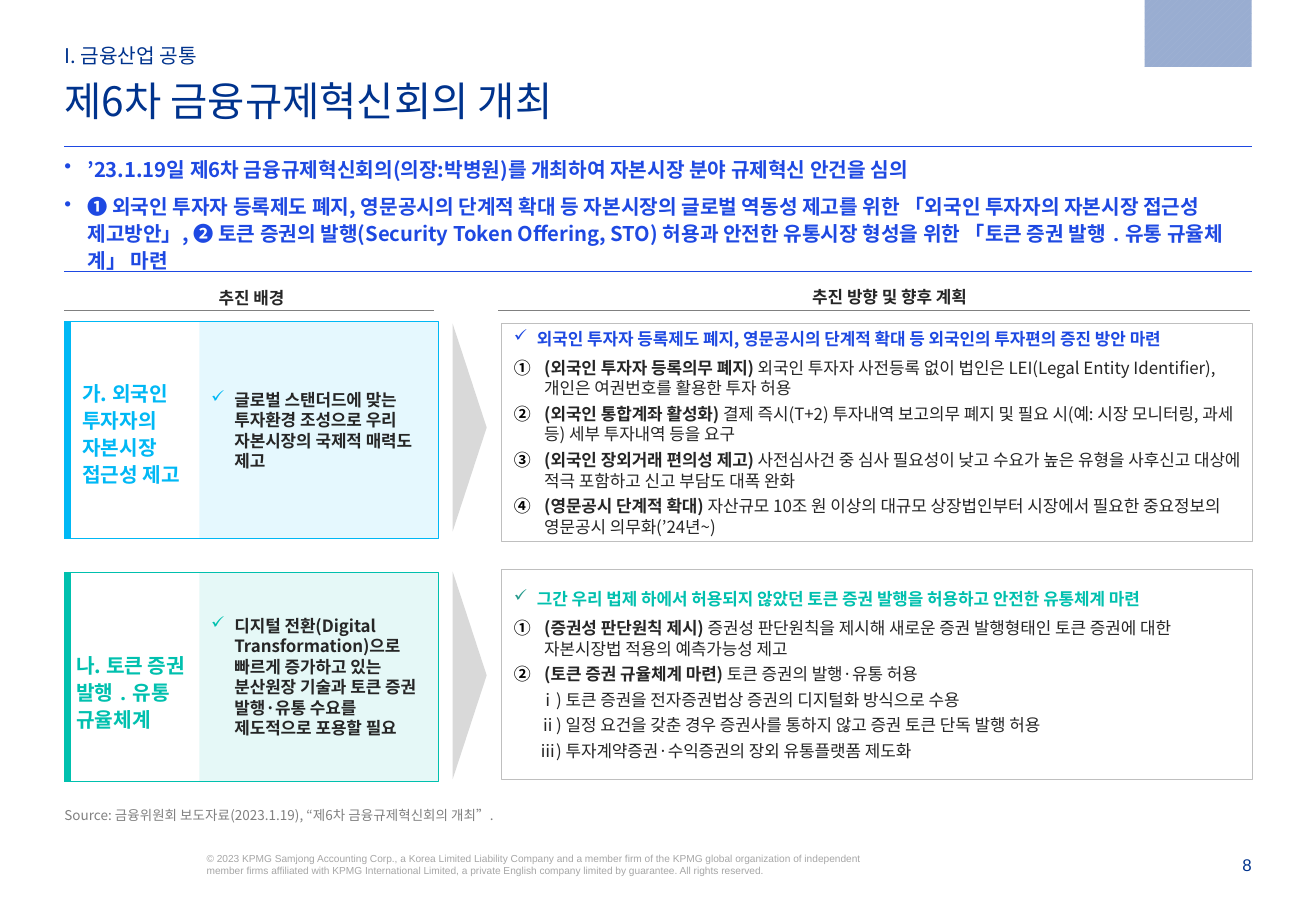
from dataclasses import dataclass

from lxml.etree import SubElement
from pptx import Presentation
from pptx.dml.color import RGBColor
from pptx.enum.dml import MSO_PATTERN
from pptx.enum.shapes import MSO_CONNECTOR, MSO_SHAPE
from pptx.enum.text import MSO_ANCHOR, PP_ALIGN
from pptx.oxml.ns import qn
from pptx.util import Pt

KICKER = "I. 금융산업 공통"
TITLE = "제6차 금융규제혁신회의 개최"
SUMMARY = [
    "’23.1.19일 제6차 금융규제혁신회의(의장:박병원)를 개최하여 자본시장 분야 규제혁신 안건을 심의",
    "➊ 외국인 투자자 등록제도 폐지, 영문공시의 단계적 확대 등 자본시장의 글로벌 역동성 제고를 위한 "
    "「외국인 투자자의 자본시장 접근성 제고방안」, ➋ 토큰 증권의 발행(Security Token Offering, STO) "
    "허용과 안전한 유통시장 형성을 위한 「토큰 증권 발행 ․ 유통 규율체계」 마련",
]
HEADINGS = [
    # text, text frame (left, top, width, height), rule from, rule to
    ("추진 배경", (53, 232, 308, 27), 53, 357),
    ("추진 방향 및 향후 계획", (492, 231, 480, 27), 410, 1029),
]
TOPICS = [
    {
        "label": "가. 외국인 투자자의 자본시장 접근성 제고",
        "label_at": (58, 307, 124, 124),
        "background": "글로벌 스탠더드에 맞는 투자환경 조성으로 우리 자본시장의 국제적 매력도 제고",
        "background_rows": (265, 178), "plan_rows": (266, 180), "arrow_top": 338,
        "color": "00B8F5", "tint": "E5F8FE", "plan_color": "1E49E2", "plan_check": "1E49E2",
        "plan": "외국인 투자자 등록제도 폐지, 영문공시의 단계적 확대 등 외국인의 투자편의 증진 방안 마련",
        "steps": [
            ("(외국인 투자자 등록의무 폐지) ",
             "외국인 투자자 사전등록 없이 법인은 LEI(Legal Entity Identifier), 개인은 여권번호를 활용한 투자 허용"),
            ("(외국인 통합계좌 활성화) ",
             "결제 즉시(T+2) 투자내역 보고의무 폐지 및 필요 시(예: 시장 모니터링, 과세 등) 세부 투자내역 등을 요구"),
            ("(외국인 장외거래 편의성 제고) ",
             "사전심사건 중 심사 필요성이 낮고 수요가 높은 유형을 사후신고 대상에 적극 포함하고 신고 부담도 대폭 완화"),
            ("(영문공시 단계적 확대) ",
             "자산규모 10조 원 이상의 대규모 상장법인부터 시장에서 필요한 중요정보의 영문공시 의무화(’24년~)"),
        ],
        "details": [],
    },
    {
        "label": "나. 토큰 증권 발행 ․ 유통 규율체계",
        "label_at": (53, 531, 124, 76),
        "background": "디지털 전환(Digital Transformation)으로 빠르게 증가하고 있는 분산원장 기술과 "
                      "토큰 증권 발행·유통 수요를 제도적으로 포용할 필요",
        "background_rows": (471, 172), "plan_rows": (469, 173), "arrow_top": 542,
        "color": "00C0AE", "tint": "E5F8F7", "plan_color": "00C0AE", "plan_check": "289C8E",
        "plan": "그간 우리 법제 하에서 허용되지 않았던 토큰 증권 발행을 허용하고 안전한 유통체계 마련",
        "steps": [
            ("(증권성 판단원칙 제시) ",
             "증권성 판단원칙을 제시해 새로운 증권 발행형태인 토큰 증권에 대한 자본시장법 적용의 예측가능성 제고"),
            ("(토큰 증권 규율체계 마련) ", "토큰 증권의 발행·유통 허용"),
        ],
        "details": [
            "ⅰ) 토큰 증권을 전자증권법상 증권의 디지털화 방식으로 수용",
            "ⅱ) 일정 요건을 갖춘 경우 증권사를 통하지 않고 증권 토큰 단독 발행 허용",
            "ⅲ) 투자계약증권·수익증권의 장외 유통플랫폼 제도화",
        ],
    },
]
SOURCE = "Source: 금융위원회 보도자료(2023.1.19), “제6차 금융규제혁신회의 개최”."
COPYRIGHT = (
    "© 2023 KPMG Samjong Accounting Corp., a Korea Limited Liability Company and a member firm of the "
    "KPMG global organization of independent member firms affiliated with KPMG International Limited, "
    "a private English company limited by guarantee. All rights reserved."
)
PAGE_NUMBER = "8"


@dataclass(frozen=True)
class Theme:
    korean: str = "Noto Sans CJK KR"
    latin: str = "Arial"
    navy: str = "00338D"
    blue: str = "1E49E2"
    ink: str = "262626"
    black: str = "000000"
    grey: str = "808080"
    border: str = "BFBFBF"
    pale: str = "A6A6A6"
    arrow: str = "D9D9D9"
    white: str = "FFFFFF"
    stripe: str = "A3B5D5"
    stripe_back: str = "99ADD1"
    title: int = 24
    lead: int = 12
    text: int = 10
    source: int = 8
    legal: int = 6
    lead_pitch: int = 16
    text_pitch: float = 12.15


THEME = Theme()
PX = 9144  # 100 px to the inch
LEFT, RIGHT = 53, 1030
NO_INSETS = (0, 0, 0, 0)
BOX_INSETS = (10, 5, 10, 5)


def rgb(value):
    return RGBColor.from_string(value)


def scaled(place):
    return [value * PX for value in place]


def set_frame(shape, anchor=MSO_ANCHOR.TOP, insets=BOX_INSETS, wrap=True):
    frame = shape.text_frame
    names = ("margin_left", "margin_top", "margin_right", "margin_bottom")
    for name, value in {**dict(zip(names, scaled(insets))),
                        "vertical_anchor": anchor, "word_wrap": wrap}.items():
        setattr(frame, name, value)
    return frame


def write(frame, spans, size=THEME.text, color=THEME.ink, font=THEME.korean, align=PP_ALIGN.LEFT,
          pitch=None, after=0, indent=0, bullet=None, bullet_color=None):
    """Add one paragraph of (text, bold) spans; bullet is a character or an 'auto:' scheme."""
    para = frame.paragraphs[0]
    if para.runs:
        para = frame.add_paragraph()
    properties = para._p.get_or_add_pPr()
    if indent:
        properties.set("marL", str(indent * PX))
        properties.set("indent", str(-indent * PX if bullet else 0))
    if bullet:
        fill = SubElement(properties, qn("a:buClr"))
        SubElement(fill, qn("a:srgbClr"), val=bullet_color or color)
        if bullet.startswith("auto:"):
            SubElement(properties, qn("a:buAutoNum"), type=bullet.removeprefix("auto:"))
        else:
            SubElement(properties, qn("a:buChar"), char=bullet)
    formats = {"alignment": align, "space_before": Pt(0), "space_after": Pt(after)}
    if pitch:
        formats["line_spacing"] = Pt(pitch)
    for name, value in formats.items():
        setattr(para, name, value)
    for text, bold in spans:
        span = para.add_run()
        span.text = text
        for name, value in {"size": Pt(size), "bold": bold, "name": font}.items():
            setattr(span.font, name, value)
        span.font.color.rgb = rgb(color)
        SubElement(span._r.get_or_add_rPr(), qn("a:ea"), typeface=font)


def add_text(page, place, text, bold=False, anchor=MSO_ANCHOR.TOP, insets=NO_INSETS, **style):
    box = page.shapes.add_textbox(*scaled(place))
    write(set_frame(box, anchor, insets), [(text, bold)], **style)


def add_box(page, place, fill=None, line=None, kind=MSO_SHAPE.RECTANGLE):
    box = page.shapes.add_shape(kind, *scaled(place))
    box.shadow.inherit = False
    if fill:
        box.fill.solid()
        box.fill.fore_color.rgb = rgb(fill)
    else:
        box.fill.background()
    if line:
        box.line.color.rgb = rgb(line)
        box.line.width = Pt(0.5)
    else:
        box.line.fill.background()
    return box


def add_rule(page, start, end, top, color):
    rule = page.shapes.add_connector(MSO_CONNECTOR.STRAIGHT, *scaled((start, top, end, top)))
    rule.line.color.rgb = rgb(color)
    rule.line.width = Pt(0.25)
    SubElement(rule._element.spPr, qn("a:effectLst"))


def add_topic(page, topic):
    color = topic["color"]
    top, height = topic["background_rows"]
    reason = add_box(page, (164, top, 197, height), topic["tint"])
    write(set_frame(reason, MSO_ANCHOR.MIDDLE), [(topic["background"], True)],
          pitch=THEME.text_pitch, indent=19, bullet="✓", bullet_color=color)
    add_box(page, (LEFT, top, 308, height), line=color)
    add_box(page, (LEFT, top, 5, height), color, color)
    add_text(page, topic["label_at"], topic["label"], True, insets=BOX_INSETS,
             size=THEME.lead, color=color, pitch=THEME.lead_pitch)

    top, height = topic["plan_rows"]
    plan = add_box(page, (413, top, 618, height), THEME.white, THEME.border)
    frame = set_frame(plan, MSO_ANCHOR.MIDDLE)
    write(frame, [(topic["plan"], True)], color=topic["plan_color"], pitch=THEME.text_pitch,
          after=5, indent=19, bullet="✓", bullet_color=topic["plan_check"])
    for name, text in topic["steps"]:
        write(frame, [(name, True), (text, False)], pitch=THEME.text_pitch, after=3, indent=25,
              bullet="auto:circleNumDbPlain", bullet_color=THEME.black)
    for text in topic["details"]:
        write(frame, [(text, False)], pitch=THEME.text_pitch, after=3, indent=21)

    arrow = add_box(page, (301, topic["arrow_top"], 171, 28), THEME.arrow,
                    kind=MSO_SHAPE.ISOSCELES_TRIANGLE)
    arrow.rotation = 90


def main():
    deck = Presentation()
    deck.slide_width, deck.slide_height = scaled((1083, 750))
    page = deck.slides.add_slide(deck.slide_layouts[5])
    width = RIGHT - LEFT

    title = page.shapes.title
    title.left, title.top, title.width, title.height = scaled((LEFT, 68, width, 35))
    write(set_frame(title, MSO_ANCHOR.BOTTOM, NO_INSETS, wrap=False), [(TITLE, False)],
          size=THEME.title, color=THEME.navy, pitch=29)
    add_text(page, (LEFT, 36, width, 20), KICKER, anchor=MSO_ANCHOR.BOTTOM,
             size=THEME.lead, color=THEME.navy, pitch=15)

    corner = add_box(page, (942, 0, 88, 55))
    corner.fill.patterned()
    corner.fill.pattern = MSO_PATTERN.WIDE_UPWARD_DIAGONAL
    corner.fill.fore_color.rgb = rgb(THEME.stripe)
    corner.fill.back_color.rgb = rgb(THEME.stripe_back)

    for top in (120, 223):
        add_rule(page, LEFT, RIGHT, top, THEME.blue)
    summary = page.shapes.add_textbox(*scaled((LEFT, 127, width, 95)))
    frame = set_frame(summary, insets=NO_INSETS)
    for text in SUMMARY:
        write(frame, [(text, True)], size=THEME.lead, color=THEME.blue,
              pitch=THEME.lead_pitch, after=6, indent=19, bullet="•")

    for text, place, start, end in HEADINGS:
        add_text(page, place, text, True, insets=BOX_INSETS, align=PP_ALIGN.CENTER,
                 pitch=THEME.text_pitch)
        add_rule(page, start, end, 255, THEME.grey)
    for topic in TOPICS:
        add_topic(page, topic)

    add_text(page, (LEFT, 657, width, 21), SOURCE, anchor=MSO_ANCHOR.BOTTOM,
             size=THEME.source, color=THEME.grey, pitch=10)
    add_text(page, (170, 702, 559, 20), COPYRIGHT, size=THEME.legal, color=THEME.pale,
             font=THEME.latin)
    add_text(page, (1003, 704, 27, 16), PAGE_NUMBER, anchor=MSO_ANCHOR.BOTTOM, color=THEME.navy,
             font=THEME.latin, align=PP_ALIGN.RIGHT)
    deck.save("out.pptx")


if __name__ == "__main__":
    main()
